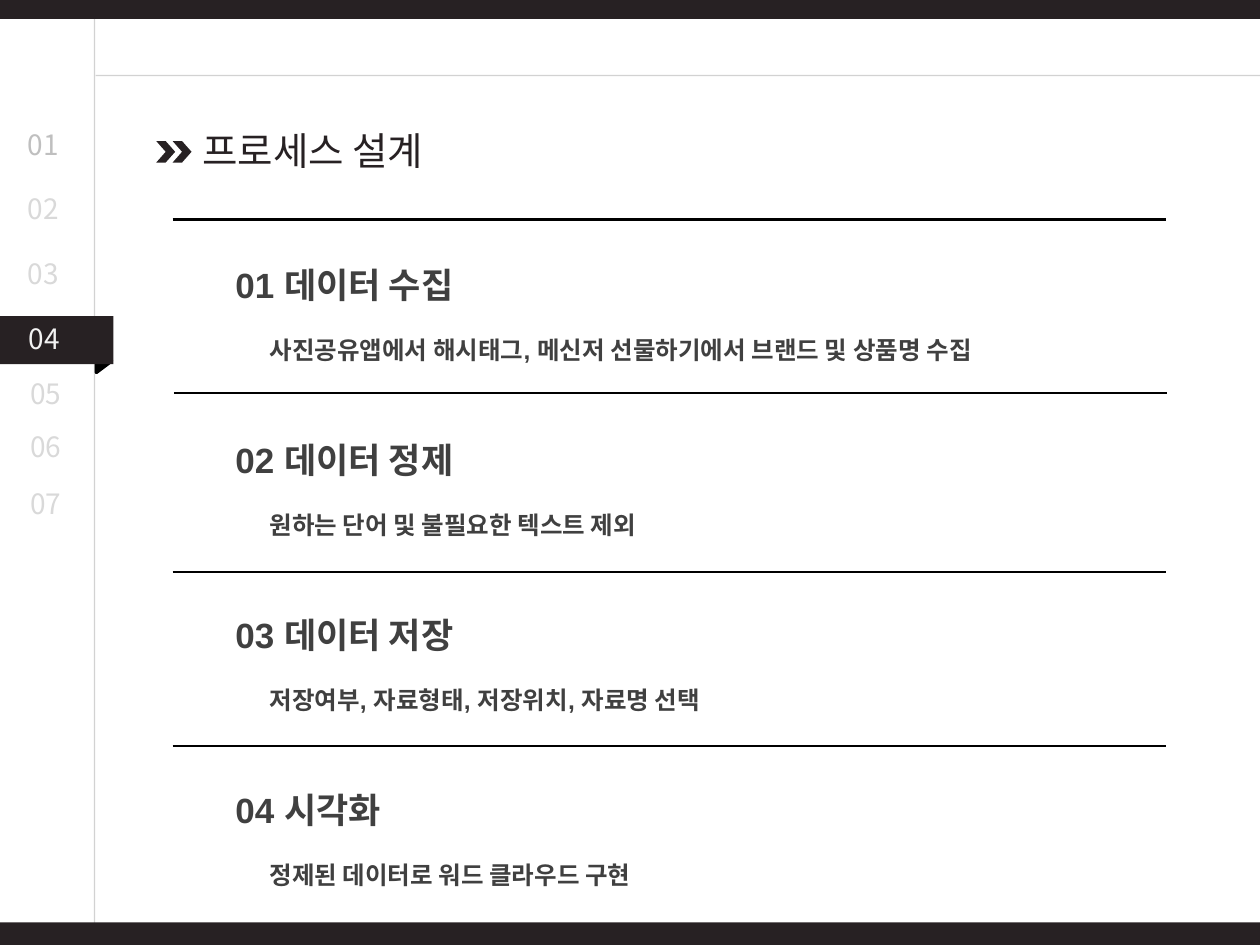
from lxml import etree
from pptx import Presentation
from pptx.dml.color import RGBColor
from pptx.enum.shapes import MSO_CONNECTOR, MSO_SHAPE as SHAPE
from pptx.oxml.ns import qn
from pptx.util import Inches, Pt

COLORS = {"dark": "272123", "black": "000000", "body": "404040", "guide": "A6A6A6",
          "first": "BFBFBF", "idle": "D9D9D9", "active": "F2F2F2"}
KOREAN, LATIN = "Noto Sans CJK KR", "Arial"

TITLE = "프로세스 설계"
STEPS = [
    ("데이터 수집", "사진공유앱에서 해시태그, 메신저 선물하기에서 브랜드 및 상품명 수집"),
    ("데이터 정제", "원하는 단어 및 불필요한 텍스트 제외"),
    ("데이터 저장", "저장여부, 자료형태, 저장위치, 자료명 선택"),
    ("시각화", "정제된 데이터로 워드 클라우드 구현"),
]
NAV = [(0.12, 0.96, "first"), (0.12, 1.47, "idle"), (0.12, 1.99, "idle"),
       (0.13, 2.5, "active"), (0.14, 2.94, "idle"), (0.14, 3.36, "idle"),
       (0.14, 3.81, "idle")]
GUIDES = [(0.75, 0, 0.75, 7.5), (0.76, 0.6, 10, 0.6)]
RULES = [(1.37, 1.74), (1.38, 3.12), (1.37, 4.54), (1.37, 5.92)]
RULE_WIDTH = 7.88


def rgb(name):
    return RGBColor.from_string(COLORS[name])


def add_line(s, x1, y1, x2, y2, color, width, alpha=None):
    c = s.shapes.add_connector(MSO_CONNECTOR.STRAIGHT, *map(Inches, (x1, y1, x2, y2)))
    c.line.color.rgb = rgb(color)
    c.line.width = Pt(width)
    spPr = c._element.spPr
    if alpha:
        clr = spPr.find(".//" + qn("a:srgbClr"))
        etree.SubElement(clr, qn("a:alpha")).set("val", str(alpha * 1000))
    etree.SubElement(spPr, qn("a:effectLst"))


def add_block(s, kind, x, y, w, h, color="dark"):
    sp = s.shapes.add_shape(kind, *map(Inches, (x, y, w, h)))
    sp.shadow.inherit = False
    sp.fill.solid()
    sp.fill.fore_color.rgb = rgb(color)
    sp.line.fill.background()
    return sp


def add_box(s, x, y, w, h):
    tf = s.shapes.add_textbox(*map(Inches, (x, y, w, h))).text_frame
    tf.word_wrap = True
    return tf


def style(p, font, size, color, bold=False):
    for r in p.runs:
        r.font.name = font
        r.font.size = Pt(size)
        r.font.bold = bold
        r.font.color.rgb = rgb(color)
        if font == KOREAN:
            etree.SubElement(r.font._element, qn("a:ea")).set("typeface", font)


def add_label(s, x, y, w, h, text, size, color):
    p = add_box(s, x, y, w, h).paragraphs[0]
    p.text = text
    style(p, KOREAN, size, color)


def add_steps(s):
    tf = add_box(s, 1.77, 1.71, 7.99, 5.61)
    for i, (name, detail) in enumerate(STEPS):
        head = tf.add_paragraph() if i else tf.paragraphs[0]
        head.text = f"{i + 1:02d} {name}"
        if i:
            head.space_before = Pt(18.4)
        note = tf.add_paragraph()
        note.text = detail
        note._p.get_or_add_pPr().set("marL", str(Inches(0.27)))
        for p, size in ((head, 20), (note, 14)):
            p.line_spacing = 2.0
            style(p, LATIN, size, "body", True)


def main():
    prs = Presentation()
    prs.slide_width, prs.slide_height = Inches(10), Inches(7.5)
    s = prs.slides.add_slide(prs.slide_layouts[6])

    for guide in GUIDES:
        add_line(s, *guide, "guide", 0.75, 50)
    for y, h in ((0, 0.15), (7.32, 0.18)):
        add_block(s, SHAPE.RECTANGLE, 0, y, 10, h)
    for x in (1.24, 1.37):
        add_block(s, SHAPE.CHEVRON, x, 1.12, 0.15, 0.17)
    add_label(s, 1.51, 0.96, 3.25, 0.47, TITLE, 22, "dark")

    fold = add_block(s, SHAPE.RIGHT_TRIANGLE, 0.78, 2.85, 0.09, 0.12, "black")
    fold.rotation = 90
    fold.line.color.rgb = rgb("black")
    fold.line.width = Pt(2)
    add_block(s, SHAPE.RECTANGLE, 0, 2.51, 0.9, 0.38)
    for i, (x, y, color) in enumerate(NAV, 1):
        add_label(s, x, y, 0.55, 0.37, f"{i:02d}", 16, color)

    add_steps(s)
    for x, y in RULES:
        add_line(s, x, y, x + RULE_WIDTH, y, "black", 1.5)
    prs.save("out.pptx")


if __name__ == "__main__":
    main()
